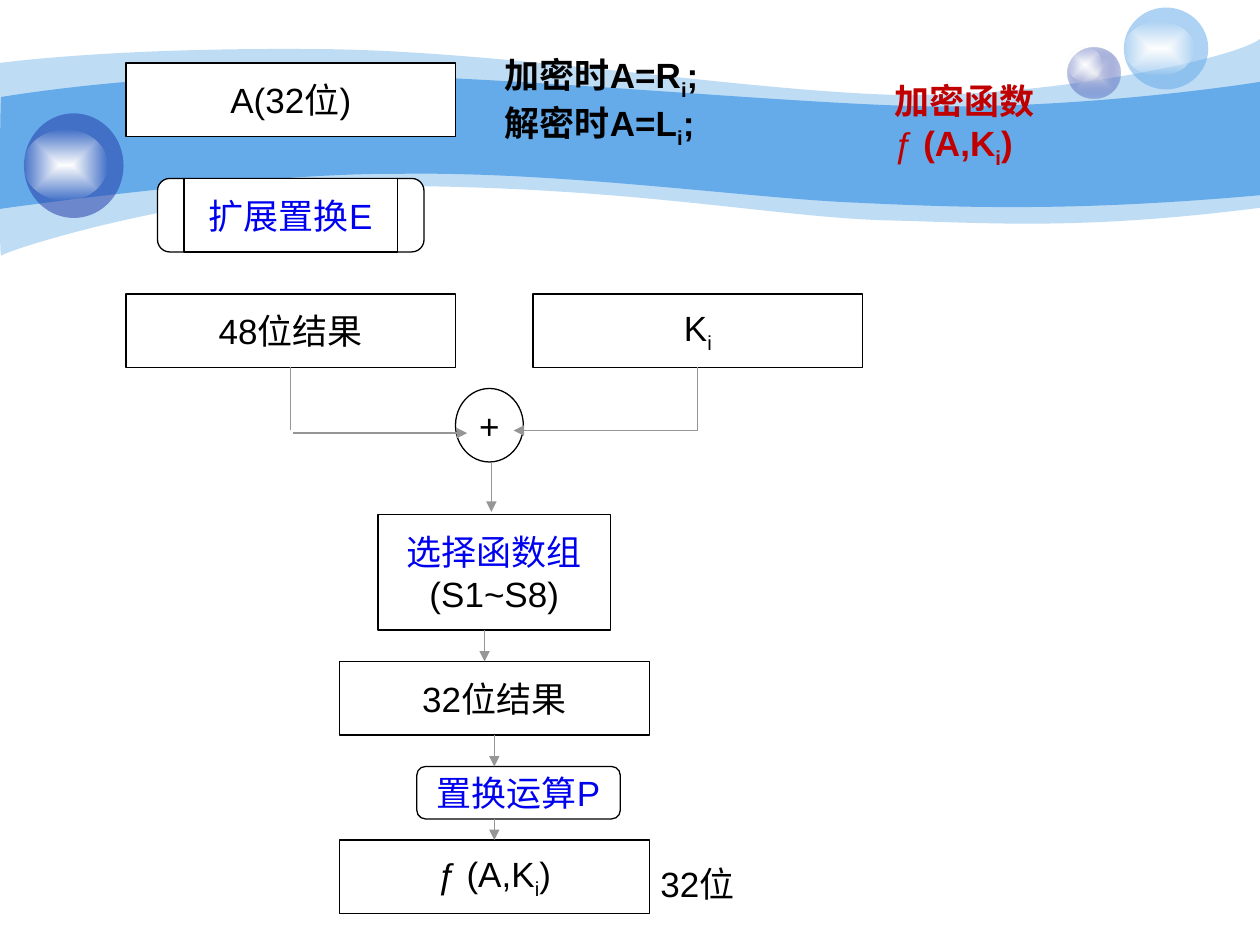
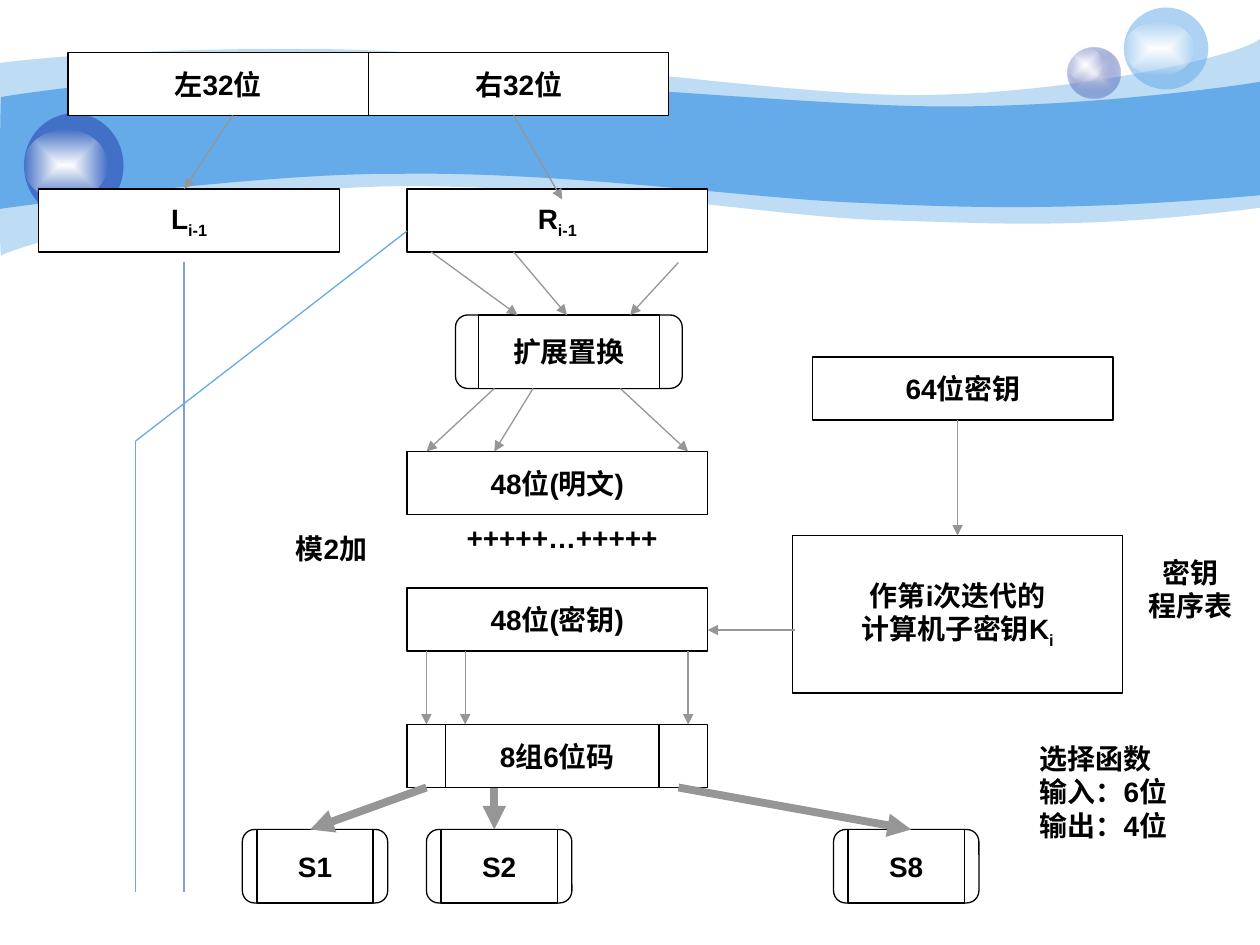
from itertools import cycle

from pptx import Presentation
from pptx.dml.color import RGBColor
from pptx.enum.shapes import MSO_CONNECTOR, MSO_SHAPE
from pptx.enum.text import MSO_ANCHOR, PP_ALIGN
from pptx.oxml import parse_xml
from pptx.oxml.ns import nsdecls, qn
from pptx.oxml.xmlchemy import OxmlElement
from pptx.util import Inches, Pt

RECT = MSO_SHAPE.RECTANGLE
ROUND = MSO_SHAPE.ROUNDED_RECTANGLE
OVAL = MSO_SHAPE.OVAL
LINE = MSO_CONNECTOR.STRAIGHT
LEFT, CENTER = PP_ALIGN.LEFT, PP_ALIGN.CENTER
MIDDLE, TOP = MSO_ANCHOR.MIDDLE, MSO_ANCHOR.TOP

WIDTH, HEIGHT = Inches(10), Inches(7.5)
COL, ROW = WIDTH / 130, HEIGHT / 90
FONT = "Arial"
WHITE, BLACK, GREY = "FFFFFF", "000000", "969696"
BLUE, RED = "0000F0", "C00000"
SKY, NAVY, MIST, STEEL = "65AAE9", "233DA9", "E1E2ED", "7DA0D3"
PLAIN = {"size": 20, "bold": False}
HEAVY = {"size": 20, "bold": True}
STRONG = {"size": 16, "bold": True}
BOTTOM_SIDE, TOP_SIDE = 2, 0

# Waves in inches: a start, then curves of six numbers and lines of two
WAVES = [
    (41, (0, 0.5), [
        (0.24, 0.47, 1.07, 0.38, 2.47, 0.39), (3.86, 0.39, 5.75, 0.7, 6.99, 0.75),
        (8.22, 0.8, 9.8, 0.47, 10, 0.31), (10, 1.65),
        (8.58, 1.83, 7.87, 1.77, 7.05, 1.75), (6.22, 1.73, 5.15, 1.51, 3.43, 1.48),
        (1.72, 1.44, 0.04, 1.99, 0.01, 2.03), (-0.01, 2.08, 0, 0.75, 0, 0.5)]),
    (100, (0.01, 0.77), [
        (0.02, 0.77, 1.1, 0.58, 2.48, 0.59), (3.86, 0.59, 5.95, 0.8, 7.18, 0.84),
        (8.41, 0.88, 9.76, 0.69, 10, 0.65), (10, 1.55),
        (8.53, 1.68, 7.65, 1.65, 6.82, 1.61), (5.99, 1.58, 4.47, 1.36, 3.17, 1.38),
        (2.03, 1.37, -0.02, 1.66, -0.01, 1.66), (0, 1.66, 0, 0.77, 0.01, 0.77)]),
]


def tone(code):
    return RGBColor.from_string(code)


def paint(shape, code, alpha=100):
    shape.shadow.inherit = False
    shape.fill.solid()
    shape.fill.fore_color.rgb = tone(code)
    shape.line.fill.background()
    if alpha < 100:
        clear = OxmlElement("a:alpha")
        clear.set("val", str(alpha * 1000))
        shape.fill._xPr.find(".//" + qn("a:srgbClr")).append(clear)


def glow(shape, core, rim, alpha):
    """Fill from the core colour in the middle to a partly clear rim."""
    paint(shape, core)
    solid = shape._element.spPr.find(qn("a:solidFill"))
    grad = parse_xml(
        f'<a:gradFill {nsdecls("a")} rotWithShape="1"><a:gsLst>'
        f'<a:gs pos="0"><a:srgbClr val="{core}"/></a:gs>'
        f'<a:gs pos="100000"><a:srgbClr val="{rim}">'
        f'<a:alpha val="{alpha * 1000}"/></a:srgbClr></a:gs></a:gsLst>'
        '<a:path path="shape"><a:fillToRect l="50000" t="50000" '
        'r="50000" b="50000"/></a:path></a:gradFill>')
    solid.getparent().replace(solid, grad)


def wave(slide, alpha, start, parts):
    """Build the outline through all knots, then merge triples into curves."""
    emu = [Inches(n) for n in start + sum(parts, ())]
    points = list(zip(emu[::2], emu[1::2]))
    form = slide.shapes.build_freeform(*points[0])
    form.add_line_segments(points[1:])
    shape = form.convert_to_shape()
    legs = iter(list(shape._element.iter(qn("a:lnTo"))))
    for part in parts:
        leg = next(legs)
        if len(part) == 6:
            curve = OxmlElement("a:cubicBezTo")
            leg.addprevious(curve)
            for piece in (leg, next(legs), next(legs)):
                curve.append(piece[0])
                piece.getparent().remove(piece)
    paint(shape, SKY, alpha)


def ball(slide, x, y, w, h):
    return slide.shapes.add_shape(OVAL, *map(Inches, (x, y, w, h)))


def banner(slide):
    """Draw the waves and glass balls behind each slide."""
    for alpha, start, parts in WAVES:
        wave(slide, alpha, start, parts)
    glow(ball(slide, 8.47, 0.38, 0.42, 0.4), MIST, NAVY, 31)
    glow(ball(slide, 8.47, 0.38, 0.28, 0.27), WHITE, WHITE, 0)
    paint(ball(slide, 8.92, 0.06, 0.67, 0.65), SKY, 53)
    glow(ball(slide, 8.92, 0.17, 0.56, 0.43), WHITE, WHITE, 0)
    paint(ball(slide, 0.19, 0.9, 0.79, 0.83), NAVY, 53)
    glow(ball(slide, 0.19, 1.03, 0.66, 0.56), WHITE, WHITE, 0)


def bullet(para, sign):
    props = para._p.get_or_add_pPr()
    indent = Inches(0.23)
    props.set("marL", str(indent))
    props.set("indent", str(-indent))
    for tag, key, value in [("a:buFont", "typeface", FONT), ("a:buChar", "char", sign)]:
        mark = OxmlElement(tag)
        mark.set(key, value)
        props.append(mark)


def write(shape, text, size, bold, colors=(BLACK,), align=CENTER):
    """Write lines; parts between bars are subscripts, a leading ƒ is a bullet."""
    frame = shape.text_frame
    lines = text.split("\n")
    frame.text = "\n".join(line.lstrip("ƒ").split("|")[0] for line in lines)
    for para, line, color in zip(frame.paragraphs, lines, cycle(colors)):
        para.alignment = align
        if line.startswith("ƒ"):
            bullet(para, "ƒ")
        for part in line.split("|")[1:]:
            para.add_run().text = part
        for spot, run in enumerate(para.runs):
            run.font.name, run.font.size, run.font.bold = FONT, Pt(size), bold
            run.font.color.rgb = tone(color)
            if spot % 2:
                run._r.get_or_add_rPr().set("baseline", "-25000")


def place(x, y, w, h):
    """Turn columns and rows into lengths."""
    return [round(n) for n in (x * COL, y * ROW, w * COL, h * ROW)]


def box(slide, area, text="", style=PLAIN, colors=(BLACK,), kind=RECT):
    shape = slide.shapes.add_shape(kind, *place(*area))
    paint(shape, WHITE)
    shape.line.color.rgb = tone(BLACK)
    shape.line.width = Pt(0.75)
    shape.text_frame.word_wrap = False
    shape.text_frame.vertical_anchor = MIDDLE
    if text:
        write(shape, text, colors=colors, **style)
    return shape


def framed(slide, area, text, style, colors=(BLACK,)):
    """Draw a round box with a box of four fifths its width inside."""
    x, y, w, h = area
    box(slide, area, kind=ROUND)
    box(slide, (x + w / 10, y, w * 0.8, h), text, style, colors)


def label(slide, area, text, style, colors=(BLACK,), align=CENTER):
    shape = slide.shapes.add_textbox(*place(*area))
    shape.text_frame.word_wrap = True
    shape.text_frame.vertical_anchor = TOP
    write(shape, text, colors=colors, align=align, **style)


def line(slide, ends, color=GREY, width=0.75, head=False, start=None, stop=None):
    """Join two grid points; start leaves a box's foot, stop meets a box's top."""
    link = slide.shapes.add_connector(LINE, *place(*ends))
    link.line.color.rgb = tone(color)
    link.line.width = Pt(width)
    if head:
        tail = OxmlElement("a:tailEnd")
        tail.set("type", "triangle")
        link.line._get_or_add_ln().append(tail)
    link._element.spPr.append(OxmlElement("a:effectLst"))
    if start:
        link.begin_connect(start, BOTTOM_SIDE)
    if stop:
        link.end_connect(stop, TOP_SIDE)


def arrow(slide, *ends, **more):
    line(slide, ends, head=True, **more)


def cipher(slide):
    """The flow of the encryption function."""
    banner(slide)
    label(slide, (91, 7, 17.3, 9.2), "加密函数\nƒ(A,K|i|)", HEAVY, (RED,), LEFT)
    box(slide, (13, 6, 34, 7), "A(32位)")
    label(slide, (50.8, 4.5, 22.9, 9.2), "加密时A=R|i|;\n解密时A=L|i|;",
          HEAVY, align=LEFT)
    framed(slide, (16.25, 17, 27.5, 7), "扩展置换E", PLAIN, (BLUE,))
    wide = box(slide, (13, 28, 34, 7), "48位结果")
    key = box(slide, (55, 28, 34, 7), "K|i")
    box(slide, (47, 37, 7, 7), "+", kind=OVAL)
    line(slide, (30, 35, 30, 41), start=wide)
    arrow(slide, 30.2, 41.25, 48.2, 41.25)
    line(slide, (72, 35, 72, 41), start=key)
    arrow(slide, 72, 41, 53, 41)
    box(slide, (39, 49, 24, 11), "选择函数组\n(S1~S8)", colors=(BLUE, BLACK))
    short = box(slide, (35, 63, 32, 7), "32位结果")
    final = box(slide, (35, 80, 32, 7), "ƒ(A,K|i|)")
    box(slide, (43, 73, 21, 5), "置换运算P", colors=(BLUE,), kind=ROUND)
    arrow(slide, 50.7, 44, 50.7, 48.75)
    arrow(slide, 50, 60, 50, 63)
    arrow(slide, 51, 70, 51, 73, start=short)
    arrow(slide, 51, 78, 51, 80, stop=final)
    label(slide, (66.8, 81.6, 10.3, 5.3), "32位", PLAIN)


def rounds(slide):
    """One round, from the two halves to the S boxes."""
    banner(slide)
    for x, y, text in [
            (7, 5, "左32位"), (38, 5, "右32位"), (4, 18, "L|i-1"), (42, 18, "R|i-1"),
            (42, 43, "48位(明文)"), (83.85, 34, "64位密钥"),
            (42, 56, "48位(密钥)"), (42, 69, "8组6位码")]:
        box(slide, (x, y, 31, 6), text, STRONG)
    framed(slide, (47, 30, 23.4, 7), "扩展置换", STRONG)
    subkey = box(slide, (81.8, 51, 34, 15), "作第i次迭代的\n计算机子密钥K|i", STRONG)
    for x, text in [(25, "S1"), (44, "S2"), (86, "S8")]:
        framed(slide, (x, 79, 15, 7), text, STRONG)

    label(slide, (117.1, 52.3, 11.5, 7.7), "密钥\n程序表", STRONG)
    label(slide, (29.1, 50, 10.2, 4.4), "模2加", STRONG)
    label(slide, (106, 70, 16, 11), "选择函数\n输入：6位\n输出：4位", STRONG, align=LEFT)
    label(slide, (46.7, 49, 22.6, 4.4), "+++++…+++++", STRONG)

    line(slide, (19, 25, 19, 85), STEEL)
    line(slide, (42, 22, 14, 42), SKY)
    line(slide, (14, 42, 14, 85), SKY)
    for x in (46, 68):
        line(slide, (x, 69, x, 75), BLACK)
    for x in (44, 48, 71):
        arrow(slide, x, 62, x, 69)
    for top, foot in [(51, 44), (55, 51), (64, 71)]:
        arrow(slide, top, 37, foot, 43)
    for x, y, foot in [(44.5, 24, 53.4), (53, 24, 58.5), (70, 25, 65)]:
        arrow(slide, x, y, foot, 30)
    arrow(slide, 24, 11, 19, 18)
    arrow(slide, 53, 11, 58, 19)
    arrow(slide, 98.8, 40, 98.8, 51, stop=subkey)
    arrow(slide, 82, 60, 73, 60)
    for top, foot in [(44, 32), (51, 51), (70, 94)]:
        arrow(slide, top, 75, foot, 79, width=4.5)


def main():
    deck = Presentation()
    deck.slide_width, deck.slide_height = WIDTH, HEIGHT
    blank = deck.slide_layouts[6]
    for draw in (cipher, rounds):
        draw(deck.slides.add_slide(blank))
    deck.save("out.pptx")


if __name__ == "__main__":
    main()
